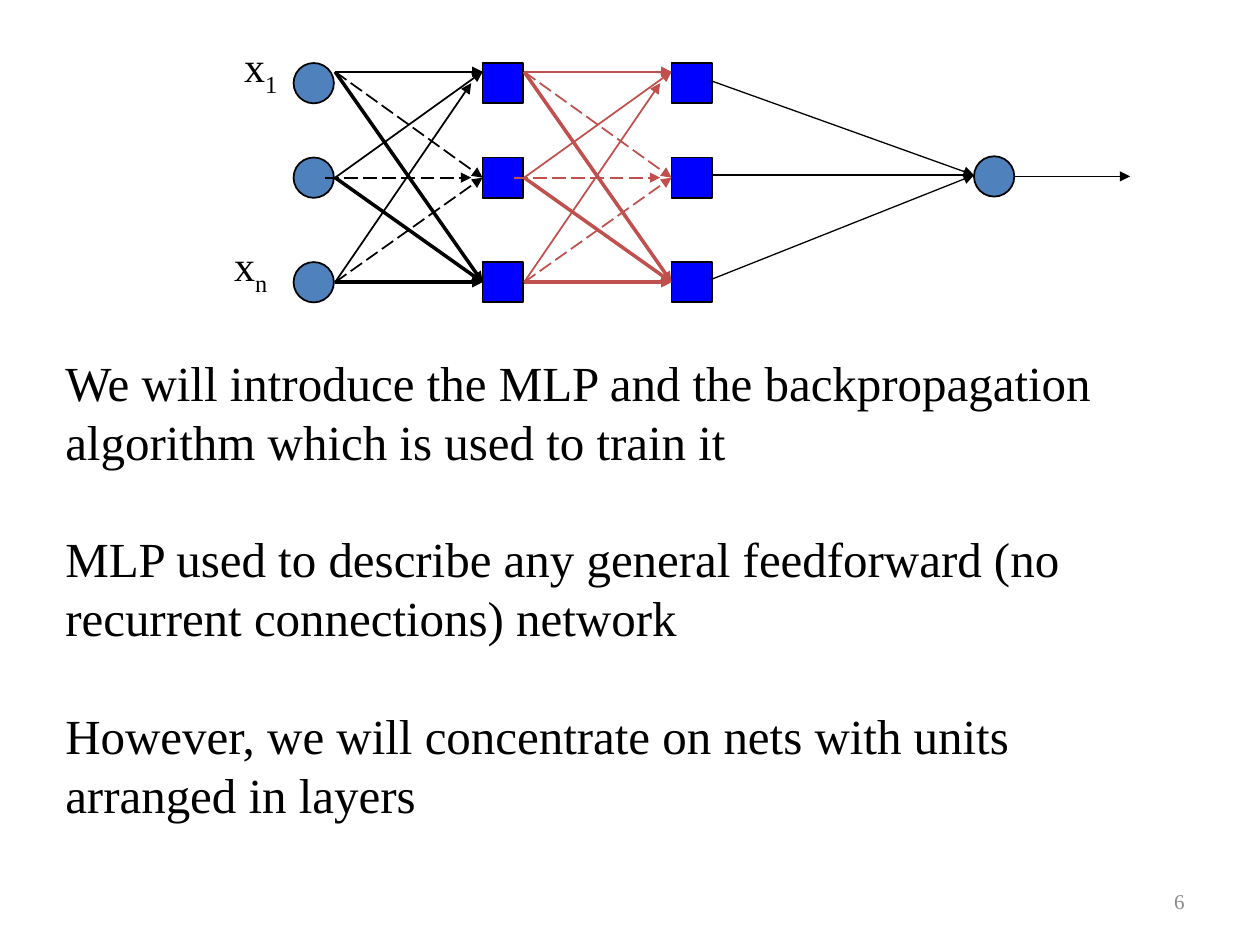
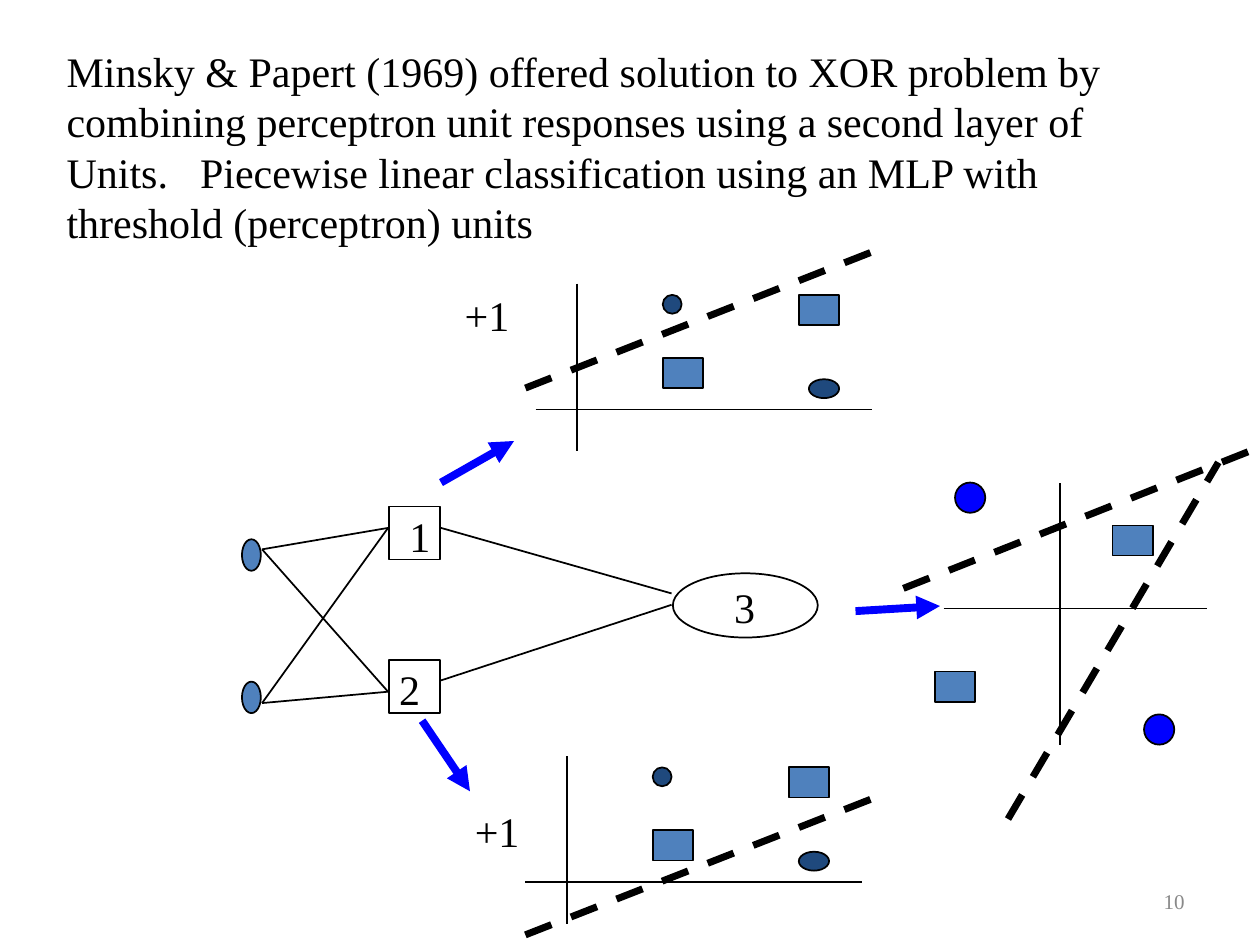
from pptx import Presentation
from pptx.dml.color import RGBColor
from pptx.enum.dml import MSO_LINE
from pptx.enum.shapes import MSO_CONNECTOR, MSO_SHAPE
from pptx.enum.text import MSO_ANCHOR, PP_ALIGN
from pptx.oxml.ns import qn
from pptx.util import Inches, Pt
from lxml.etree import SubElement

FONT = "Times New Roman"
COLORS = {
    "ink": "000000",
    "node": "4F81BD",
    "dark": "1F497D",
    "blue": "0000FF",
    "red": "C0504D",
    "number": "898989",
}
OVAL, RECT = MSO_SHAPE.OVAL, MSO_SHAPE.RECTANGLE

MLP_TEXT = [
    "We will introduce the MLP and the backpropagation algorithm which is used to train it",
    "MLP used to describe any general feedforward (no recurrent connections) network",
    "However, we will concentrate on nets with units arranged in layers",
]
NODE = 0.32
ROW_TOPS = [0.5, 1.25, 2.08]
LAYERS = [(2.33, OVAL, "node"), (3.83, RECT, "blue"), (5.33, RECT, "blue")]
INPUT_LABELS = [("x", "1", 1.84, 0.33), ("x", "n", 1.76, 1.91)]
WEIGHT_LAYERS = [(2.66, "ink"), (4.16, "red")]
WEIGHTS = [
    (0, 0.57, 1.17, 0.57, 1, None),
    (0, 1.41, 1.17, 0.57, 1, None),
    (0, 2.24, 1.08, 0.66, 1, None),
    (0, 0.57, 1.17, 1.41, 1, MSO_LINE.LONG_DASH),
    (-0.08, 1.41, 1.08, 1.41, 1, MSO_LINE.LONG_DASH),
    (0, 2.24, 1.17, 1.41, 1, MSO_LINE.LONG_DASH),
    (0, 0.57, 1.17, 2.24, 2, None),
    (0, 1.41, 1.17, 2.24, 2, None),
    (0, 2.24, 1.17, 2.24, 2, None),
]
OUTPUT_STARTS = [0.64, 2.22, 1.39]

XOR_TEXT = [
    "Minsky & Papert (1969) offered solution to XOR problem by",
    "combining perceptron unit responses using a second layer of",
    "Units.\tPiecewise linear classification using an MLP with",
    "threshold (perceptron) units",
]
INPUT_TOPS = [4.28, 5.41]
UNITS = [("1", 4.02, 3.15), ("2", 5.24, 3.07)]
NET_LINES = [
    (2.08, 4.36, 3.08, 4.19),
    (2.08, 5.58, 3.08, 4.19),
    (2.08, 4.36, 3.08, 5.49),
    (2.08, 5.58, 3.08, 5.49),
    (3.5, 4.19, 5.33, 4.71),
    (3.5, 5.4, 5.33, 4.8),
]
UNIT_PLOTS = [(4.58, 3.25, 3.08, 3.59, 2.25), (4.5, 7, 7.42, 3.67, 6.34)]
UNIT_POINTS = [
    (OVAL, 0.68, -0.91, 0.15, 0.15, "dark"),
    (OVAL, 1.84, -0.24, 0.24, 0.15, "dark"),
    (RECT, 0.68, -0.41, 0.32, 0.24, "node"),
    (RECT, 1.76, -0.91, 0.32, 0.24, "node"),
]
ARROWS = [
    (3.5, 3.83, 4.08, 3.5),
    (3.35, 5.72, 3.73, 6.28),
    (6.79, 4.85, 7.46, 4.81),
]
RESULT_AXES = [(7.49, 4.83, 9.58, 4.83), (8.41, 5.91, 8.41, 3.83)]
RESULT_BOUNDARIES = [(7.17, 4.67, 9.92, 3.58), (8, 6.5, 9.67, 3.67)]
RESULT_POINTS = [
    (OVAL, 9.08, 5.67, 0.24, 0.24, "blue"),
    (OVAL, 7.58, 3.83, 0.24, 0.24, "blue"),
    (RECT, 8.83, 4.17, 0.32, 0.24, "node"),
    (RECT, 7.42, 5.33, 0.32, 0.24, "node"),
]


def rgb(name):
    return RGBColor.from_string(COLORS[name])


def add_text(slide, paragraphs, x, y, w, h, size=24, color="ink", wrap=True,
             align=PP_ALIGN.LEFT, gap=0, tab=None, anchor=MSO_ANCHOR.TOP):
    tf = slide.shapes.add_textbox(*map(Inches, (x, y, w, h))).text_frame
    tf.word_wrap = wrap
    tf.vertical_anchor = anchor
    for i, text in enumerate(paragraphs):
        p = tf.paragraphs[0] if i == 0 else tf.add_paragraph()
        p.text = text
        p.alignment = align
        p.line_spacing = Pt(size * 1.2)
        if i:
            p.space_before = Pt(gap)
        if tab and "\t" in text:
            tabs = SubElement(p._p.get_or_add_pPr(), qn("a:tabLst"))
            SubElement(tabs, qn("a:tab"), pos=str(Inches(tab)), algn="l")
        for r in p.runs:
            style_run(r, size, color)
    return tf


def style_run(r, size, color):
    r.font.name = FONT
    r.font.size = Pt(size)
    r.font.color.rgb = rgb(color)


def add_node(slide, kind, x, y, w, h, fill=None):
    sp = slide.shapes.add_shape(kind, *map(Inches, (x, y, w, h)))
    sp.shadow.inherit = False
    if fill:
        sp.fill.solid()
        sp.fill.fore_color.rgb = rgb(fill)
    else:
        sp.fill.background()
    sp.line.color.rgb = rgb("ink")
    sp.line.width = Pt(1)


def add_line(slide, x1, y1, x2, y2, width=1, dash=None, color="ink", arrow=False):
    ln = slide.shapes.add_connector(MSO_CONNECTOR.STRAIGHT, *map(Inches, (x1, y1, x2, y2)))
    ln.line.color.rgb = rgb(color)
    ln.line.width = Pt(width)
    if dash:
        ln.line.dash_style = dash
    if arrow:
        SubElement(ln.line._get_or_add_ln(), qn("a:tailEnd"), type="triangle")
    SubElement(ln._element.spPr, qn("a:effectLst"))


def add_boundary(slide, *ends):
    add_line(slide, *ends, width=4, dash=MSO_LINE.DASH)


def new_slide(prs, number):
    slide = prs.slides.add_slide(prs.slide_layouts[6])
    add_text(slide, [number], 7.17, 6.95, 2.33, 0.4, 12, "number",
             align=PP_ALIGN.RIGHT, anchor=MSO_ANCHOR.MIDDLE)
    return slide


def build_mlp(prs):
    slide = new_slide(prs, "6")
    add_text(slide, MLP_TEXT, 0.42, 2.75, 9.08, 3.83, 28, gap=33.6)
    for x, kind, fill in LAYERS:
        for y in ROW_TOPS:
            add_node(slide, kind, x, y, NODE, NODE, fill)
    add_node(slide, OVAL, 7.73, 1.24, NODE, NODE, "node")
    for name, index, x, y in INPUT_LABELS:
        p = add_text(slide, [name], x, y, 0.46, 0.55, wrap=False).paragraphs[0]
        r = p.add_run()
        r.text = index
        style_run(r, 24, "ink")
        r.font._element.set("baseline", "-25000")
    add_line(slide, 8.05, 1.4, 8.97, 1.4, arrow=True)
    for x, color in WEIGHT_LAYERS:
        for x1, y1, x2, y2, width, dash in WEIGHTS:
            add_line(slide, x + x1, y1, x + x2, y2, width, dash, color, True)
    for y in OUTPUT_STARTS:
        add_line(slide, 5.64, y, 7.73, 1.39, 0.75, arrow=True)


def build_xor(prs):
    slide = new_slide(prs, "10")
    add_text(slide, XOR_TEXT, 0.43, 0.31, 8.49, 1.7, tab=1.06)
    for y in INPUT_TOPS:
        add_node(slide, OVAL, 1.92, y, 0.15, 0.25, "node")
    for label, y, label_x in UNITS:
        add_node(slide, RECT, 3.09, y, 0.4, 0.42)
        add_text(slide, [label], label_x, y - 0.02, 0.36, 0.5, wrap=False)
    add_node(slide, OVAL, 5.34, 4.55, 1.15, 0.51)
    add_text(slide, ["3"], 5.57, 4.57, 0.68, 0.5, align=PP_ALIGN.CENTER)
    for ends in NET_LINES:
        add_line(slide, *ends)
    for x, y, boundary_y, label_x, label_y in UNIT_PLOTS:
        add_line(slide, x, y - 1, x, y + 0.33)
        add_line(slide, x - 0.33, y, x + 2.34, y)
        for kind, dx, dy, w, h, fill in UNIT_POINTS:
            add_node(slide, kind, x + dx, y + dy, w, h, fill)
        add_boundary(slide, 4.17, boundary_y, 6.92, boundary_y - 1.08)
        add_text(slide, ["+1"], label_x, label_y, 0.66, 0.5)
    for ends in ARROWS:
        add_line(slide, *ends, width=4.5, color="blue", arrow=True)
    for ends in RESULT_AXES:
        add_line(slide, *ends)
    for point in RESULT_POINTS:
        add_node(slide, *point)
    for ends in RESULT_BOUNDARIES:
        add_boundary(slide, *ends)


def main():
    prs = Presentation()
    prs.slide_width, prs.slide_height = Inches(10), Inches(7.5)
    build_mlp(prs)
    build_xor(prs)
    prs.save("out.pptx")


if __name__ == "__main__":
    main()
